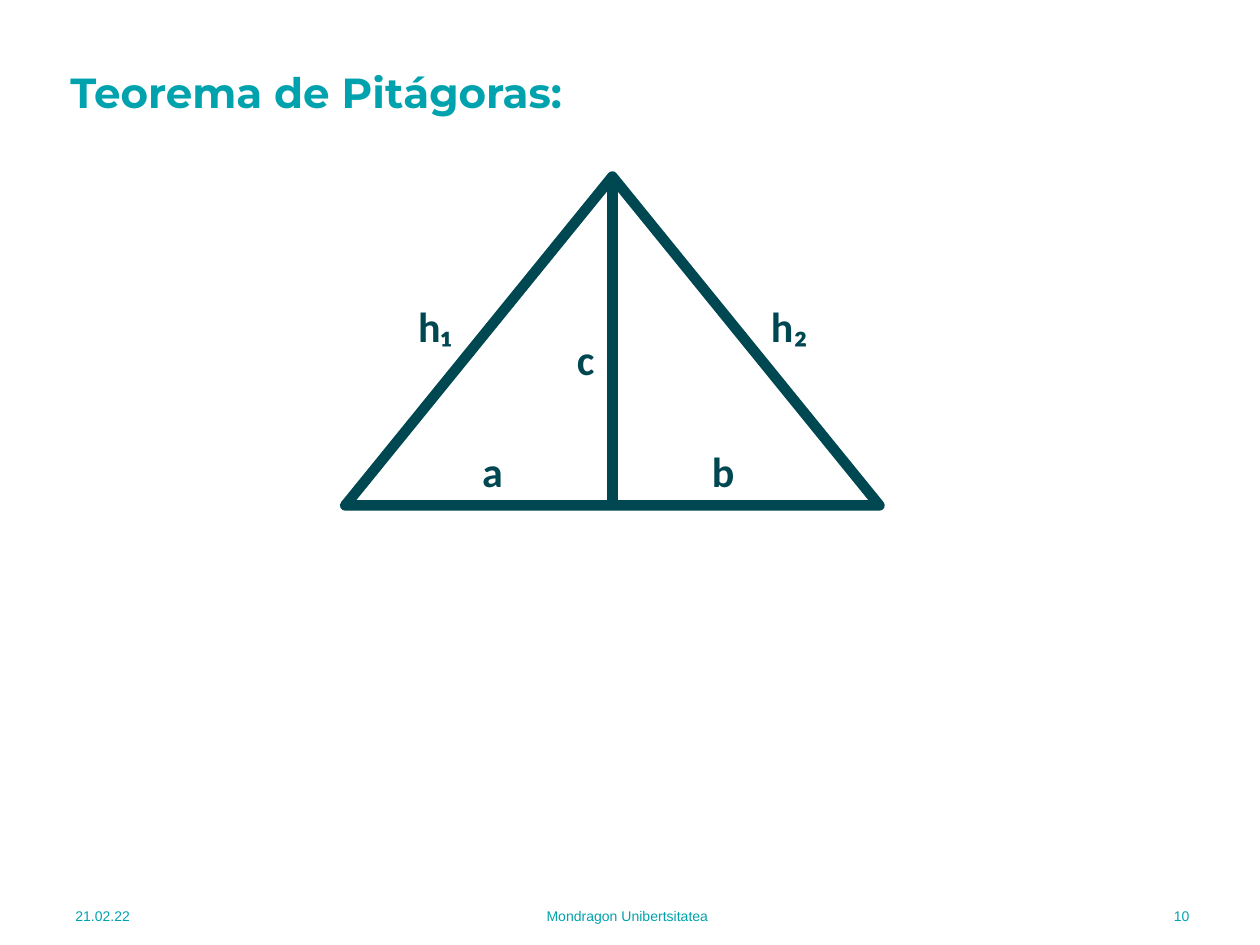
from lxml import etree
from pptx import Presentation
from pptx import util as u
from pptx.dml.color import RGBColor
from pptx.enum import shapes, text
from pptx.oxml.ns import qn

TEAL = RGBColor(0x00, 0xA3, 0xAD)
DARK = RGBColor(0x00, 0x48, 0x51)

# Boxes are left, top, width, height in centimetres
TITLE = ("Teorema de Pitágoras:", (1.17, 1.32, 21.29, 1.19))
FOOTER_TOP, FOOTER_HEIGHT = 17.96, 1.02
FOOTER = [  # text, left, width, alignment
    ("21.02.22", 1.27, 3.28, text.PP_ALIGN.LEFT),
    ("Mondragon Unibertsitatea", 6.02, 13.26, text.PP_ALIGN.CENTER),
    ("10", 20.98, 3.25, text.PP_ALIGN.RIGHT),
]
TRIANGLE = (6.96, 3.56, 10.77, 6.63)
SIDE_HEIGHT = 1.27
SIDES = [  # name, left, top, width
    ("a", 9.47, 8.86, 1.3),
    ("b", 14.1, 8.86, 1.3),
    ("c", 11.38, 6.6, 1.3),
    ("h₁", 8.18, 5.94, 1.8),
    ("h₂", 15.29, 5.94, 1.63),
]


def add_text(parent, words, box, font, size, color, bold=False,
             anchor=text.MSO_ANCHOR.MIDDLE):
    """Add a one-paragraph text box and return its paragraph."""
    frame = parent.add_textbox(*map(u.Cm, box)).text_frame
    frame.word_wrap = True
    frame.vertical_anchor = anchor
    frame.text = words
    paragraph = frame.paragraphs[0]
    run_font = paragraph.runs[0].font
    run_font.name, run_font.size, run_font.bold = font, u.Pt(size), bold
    run_font.color.rgb = color
    return paragraph


def style_stroke(stroke):
    stroke.line.color.rgb = DARK
    stroke.line.width = u.Pt(6)
    properties = stroke._element.spPr
    etree.SubElement(properties.find(qn("a:ln")), qn("a:round"))
    if properties.find(qn("a:effectLst")) is None:
        etree.SubElement(properties, qn("a:effectLst"))


def add_diagram(parent):
    left, top, width, height = TRIANGLE
    triangle = parent.add_shape(
        shapes.MSO_SHAPE.ISOSCELES_TRIANGLE, *map(u.Cm, TRIANGLE))
    triangle.fill.background()
    style_stroke(triangle)

    middle = left + width / 2
    altitude = parent.add_connector(
        shapes.MSO_CONNECTOR.STRAIGHT,
        *map(u.Cm, (middle, top, middle, top + height)))
    style_stroke(altitude)

    for name, x, y, label_width in SIDES:
        add_text(parent, name, (x, y, label_width, SIDE_HEIGHT),
                 "Calibri", 24, DARK, True, text.MSO_ANCHOR.TOP)


def main():
    deck = Presentation()
    deck.slide_width, deck.slide_height = u.Cm(25.4), u.Cm(19.05)
    slide = deck.slides.add_slide(deck.slide_layouts[6])

    for words, left, width, alignment in FOOTER:
        note = add_text(slide.shapes, words,
                        (left, FOOTER_TOP, width, FOOTER_HEIGHT),
                        "Arial", 8, TEAL)
        note.alignment = alignment
        note.space_after = u.Pt(6)

    title = add_text(slide.shapes, *TITLE, "Montserrat", 24, TEAL, True)
    title.line_spacing = 0.9

    add_diagram(slide.shapes.add_group_shape().shapes)
    deck.save("out.pptx")


if __name__ == "__main__":
    main()
